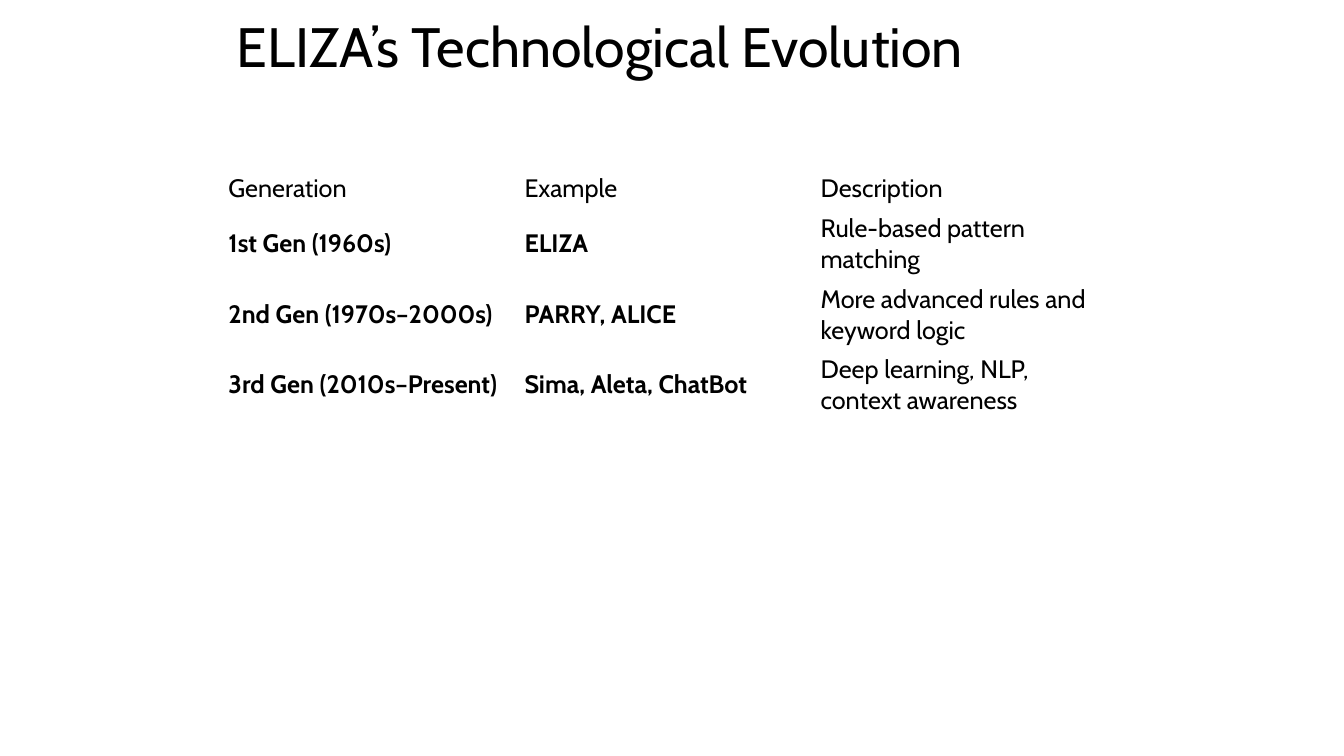
import dataclasses

import pptx
import pptx.dml.color
import pptx.enum.text
import pptx.presentation
import pptx.slide
import pptx.text.text
import pptx.util

EMU_PER_PX = 9525
FONT = "Cabin"
BLACK = pptx.dml.color.RGBColor(0x00, 0x00, 0x00)
MIDDLE = pptx.enum.text.MSO_ANCHOR.MIDDLE

TABLE_LEFT, TABLE_TOP = 208, 160
COLUMN_WIDTH = 282
HEADER_HEIGHT, ROW_HEIGHT = 38, 67


@dataclasses.dataclass(frozen=True)
class Generation:
    name: str
    example: str
    description: str
    is_header: bool = False


GENERATIONS = [
    Generation("Generation", "Example", "Description", is_header=True),
    Generation("1st Gen (1960s)", "ELIZA", "Rule-based pattern matching"),
    Generation("2nd Gen (1970s–2000s)", "PARRY, ALICE", "More advanced rules and keyword logic"),
    Generation("3rd Gen (2010s–Present)", "Sima, Aleta, ChatBot", "Deep learning, NLP, context awareness"),
]


def px(length: int) -> pptx.util.Emu:
    return pptx.util.Emu(length * EMU_PER_PX)


def add_run(paragraph: pptx.text.text._Paragraph, text: str, size: float, bold: bool = False) -> None:
    run = paragraph.add_run()
    run.text = text
    run.font.name = FONT
    run.font.size = pptx.util.Pt(size)
    run.font.bold = bold
    run.font.color.rgb = BLACK


def add_title(slide: pptx.slide.Slide, text: str) -> None:
    shape = slide.shapes.add_textbox(px(216), px(15), px(848), px(64))
    text_frame = shape.text_frame
    text_frame.word_wrap = True
    text_frame.vertical_anchor = MIDDLE
    paragraph = text_frame.paragraphs[0]
    paragraph.line_spacing = 0.9
    add_run(paragraph, text, 39.6)


def add_generation_table(slide: pptx.slide.Slide, generations: list[Generation]) -> None:
    height = HEADER_HEIGHT + ROW_HEIGHT * (len(generations) - 1)
    table = slide.shapes.add_table(
        len(generations), 3, px(TABLE_LEFT), px(TABLE_TOP), px(3 * COLUMN_WIDTH), px(height)
    ).table
    table.first_row = False
    table.horz_banding = False
    for column in table.columns:
        column.width = px(COLUMN_WIDTH)
    for row, generation in zip(table.rows, generations):
        row.height = px(HEADER_HEIGHT if generation.is_header else ROW_HEIGHT)
        emphasis = not generation.is_header
        contents = [
            (generation.name, emphasis),
            (generation.example, emphasis),
            (generation.description, False),
        ]
        for cell, (text, bold) in zip(row.cells, contents):
            cell.fill.background()
            cell.vertical_anchor = MIDDLE
            add_run(cell.text_frame.paragraphs[0], text, 18, bold)


def main() -> None:
    presentation = pptx.Presentation()
    presentation.slide_width = px(1280)
    presentation.slide_height = px(720)
    slide = presentation.slides.add_slide(presentation.slide_layouts[6])
    add_title(slide, "ELIZA’s Technological Evolution")
    add_generation_table(slide, GENERATIONS)
    presentation.save("out.pptx")


if __name__ == "__main__":
    main()
